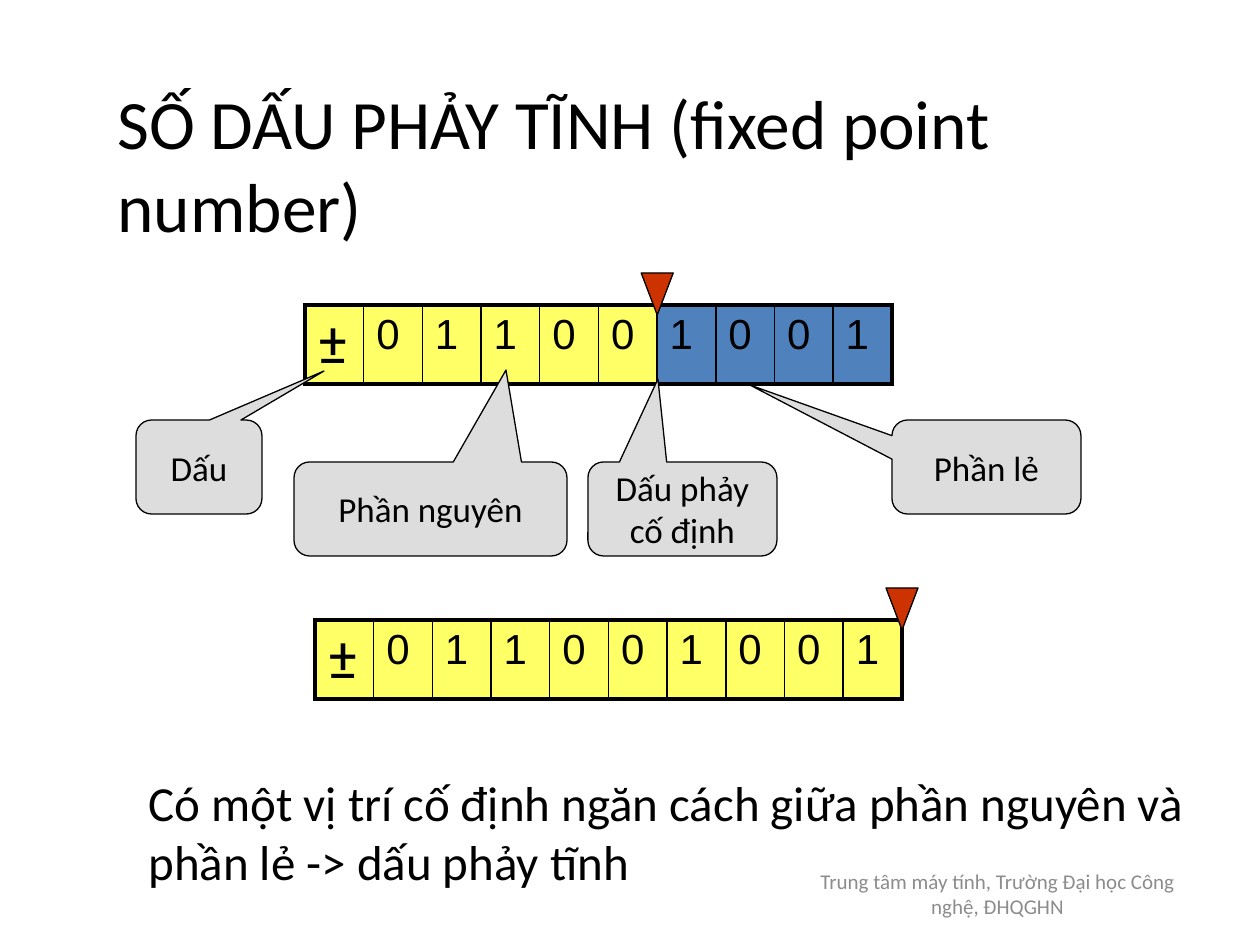
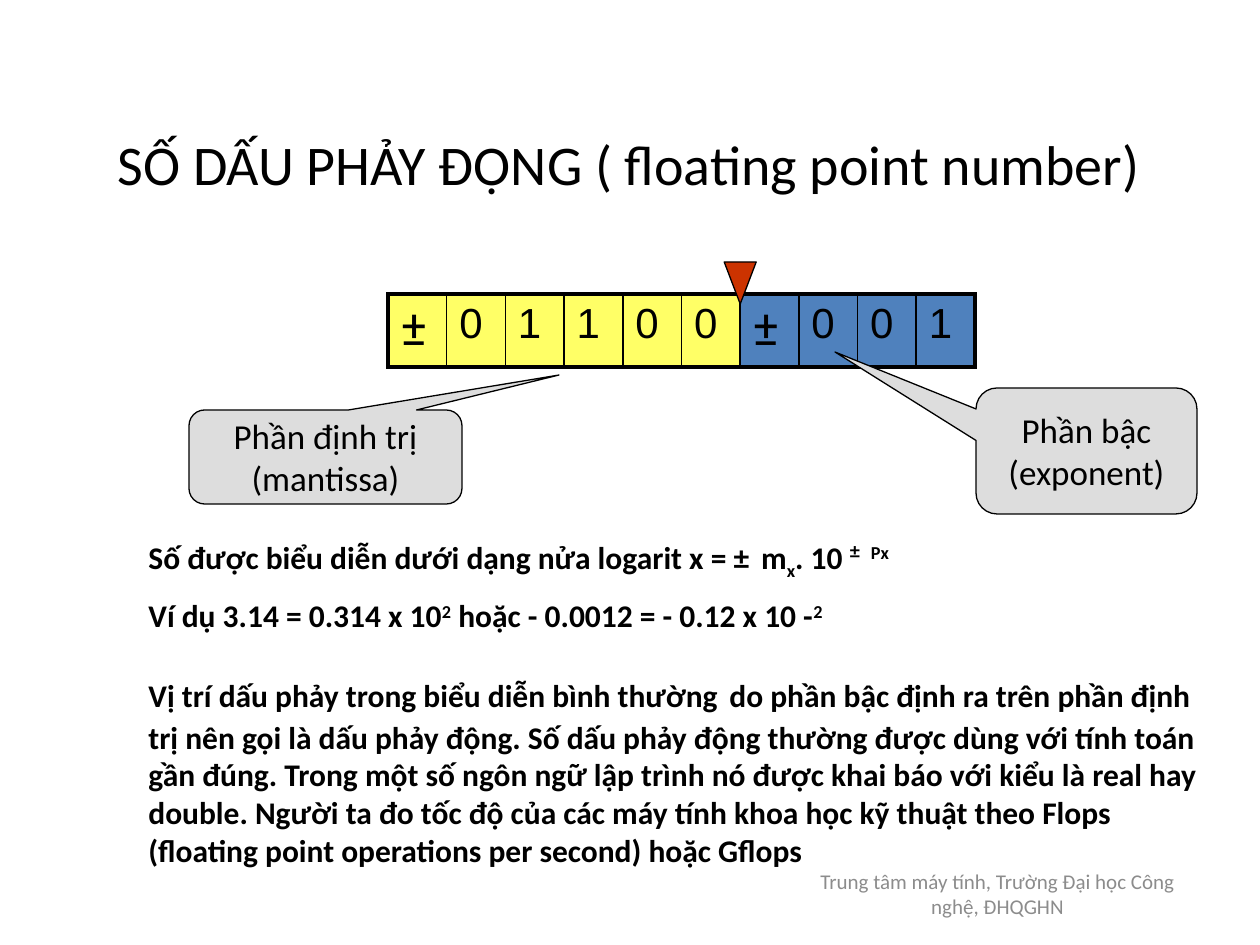
import pptx
import pptx.util
import pptx.dml.color
import pptx.enum.shapes
import pptx.enum.text
import pptx.oxml
import pptx.oxml.ns

RGB = pptx.dml.color.RGBColor
SHAPE = pptx.enum.shapes.MSO_SHAPE
ALIGN = pptx.enum.text.PP_ALIGN
ANCHOR = pptx.enum.text.MSO_ANCHOR
BLACK = RGB(0x00, 0x00, 0x00)
YELLOW = RGB(0xFF, 0xFF, 0x66)
BLUE = RGB(0x4F, 0x81, 0xBD)
RED = RGB(0xCC, 0x33, 0x00)
GRAY = RGB(0xDD, 0xDD, 0xDD)
FOOTER_GRAY = RGB(0x8C, 0x8C, 0x8C)

PX = 914400 / 126
REGISTER_WIDTH = 587
MARKER_WIDTH, MARKER_HEIGHT, MARKER_RISE = 32, 42, 32
TITLE_PLACE = (105, 105, 1092, 116)
FOOTER_PLACE = (798, 861, 399, 65)
FOOTER = "Trung tâm máy tính, Trường Đại học Công nghệ, ĐHQGHN"

PLAIN = {"name": "Calibri", "size": 28, "bold": False, "color": BLACK}
LABEL = {**PLAIN, "size": 20}
NOTE = {**PLAIN, "size": 18, "bold": True}
WIDE = {**NOTE, "size": 28}
SIGN = {**NOTE, "size": 20}
DIGIT = {"name": "Arial", "size": 24, "color": BLACK}
SMALL = {**PLAIN, "size": 12, "color": FOOTER_GRAY}
SUPER, SUB = 30000, -25000

SLIDES = [
    {
        "title": ("SỐ DẤU PHẢY TĨNH (fixed point number)", 39.6),
        "registers": [
            {"bits": "±011001001", "place": (305, 305), "height": 79, "point": 6, "sign": 32},
            {"bits": "±011001001", "place": (315, 620), "height": 79, "point": 10, "sign": 32},
        ],
        "callouts": [
            ("Dấu", (136, 420, 126, 94), (324, 371)),
            ("Phần lẻ", (892, 420, 189, 94), (750, 385)),
            ("Dấu phảy cố định", (588, 462, 189, 94), (658, 379)),
            ("Phần nguyên", (294, 462, 273, 94), (506, 370)),
        ],
        "body_place": (136, 766, 1061, 130),
        "body": [
            (0, [("Có một vị trí cố định ngăn cách giữa phần nguyên và phần lẻ -> dấu phảy tĩnh", PLAIN, 0)]),
        ],
    },
    {
        "title": ("SỐ DẤU PHẢY ĐỘNG ( floating point number)", 32),
        "registers": [
            {"bits": "±01100±001", "place": (388, 294), "height": 73, "point": 6, "sign": 28},
        ],
        "callouts": [
            ("Phần định trị (mantissa)", (189, 410, 273, 94), (559, 375)),
            ("Phần bậc (exponent)", (976, 388, 221, 126), (835, 352)),
        ],
        "body_place": (136, 514, 1092, 406),
        "body": [
            (0, [
                ("Số được biểu diễn dưới dạng nửa logarit x = ±", NOTE, 0),
                (" ", WIDE, 0),
                ("m", NOTE, 0),
                ("x", NOTE, SUB),
                (". 10 ", NOTE, 0),
                ("±", SIGN, SUPER),
                (" ", WIDE, 0),
                ("Px", NOTE, SUPER),
            ]),
            (9, [
                ("Ví dụ 3.14 = 0.314 x 10", NOTE, 0),
                ("2", NOTE, SUPER),
                (" hoặc - 0.0012 = - 0.12 x 10 -", NOTE, 0),
                ("2", NOTE, SUPER),
            ]),
            (14, [
                ("Vị trí dấu phảy trong biểu diễn bình thường", NOTE, 0),
                (" ", WIDE, 0),
                ("do phần bậc định ra trên phần định trị nên gọi là dấu phảy động. "
                 "Số dấu phảy động thường được dùng với tính toán gần đúng. "
                 "Trong một số ngôn ngữ lập trình nó được khai báo với kiểu là real hay double. "
                 "Người ta đo tốc độ của các máy tính khoa học kỹ thuật theo Flops "
                 "(floating point operations per second) hoặc Gflops", NOTE, 0),
            ]),
        ],
    },
]


def emu(*lengths):
    return [round(length * PX) for length in lengths]


def format_font(font, style):
    for key, value in style.items():
        if key == "color":
            font.color.rgb = value
        elif key == "size":
            font.size = pptx.util.Pt(value)
        else:
            setattr(font, key, value)


def write(frame, paragraphs, align=ALIGN.LEFT, anchor=ANCHOR.TOP):
    settings = {"word_wrap": True, "vertical_anchor": anchor,
                "auto_size": pptx.enum.text.MSO_AUTO_SIZE.NONE}
    for key, value in settings.items():
        setattr(frame, key, value)
    for index, (space, spans) in enumerate(paragraphs):
        para = frame.add_paragraph() if index else frame.paragraphs[0]
        para.alignment = align
        if space:
            para.space_before = pptx.util.Pt(space)
        for text, style, baseline in spans:
            span = para.add_run()
            span.text = text
            format_font(span.font, style)
            if baseline:
                span.font.bold = style["bold"]
                span._r.get_or_add_rPr().set("baseline", str(baseline))


def add_text(page, place, paragraphs, **layout):
    box = page.shapes.add_textbox(*emu(*place))
    write(box.text_frame, paragraphs, **layout)


def add_figure(page, kind, place, fill):
    figure = page.shapes.add_shape(kind, *emu(*place))
    figure.shadow.inherit = False
    figure.fill.solid()
    figure.fill.fore_color.rgb = fill
    figure.line.color.rgb = BLACK
    figure.line.width = pptx.util.Pt(0.75)
    return figure


def add_callout(page, text, place, tip):
    left, top, width, height = place
    callout = add_figure(page, SHAPE.ROUNDED_RECTANGULAR_CALLOUT, place, GRAY)
    callout.adjustments[0] = (tip[0] - left) / width - 0.5
    callout.adjustments[1] = (tip[1] - top) / height - 0.5
    write(callout.text_frame, [(0, [(text, LABEL, 0)])], ALIGN.CENTER, ANCHOR.MIDDLE)


def add_border(cell, side, points):
    cell._tc.get_or_add_tcPr().append(pptx.oxml.parse_xml(
        f'<a:ln{side} {pptx.oxml.ns.nsdecls("a")} w="{pptx.util.Pt(points)}">'
        f'<a:solidFill><a:srgbClr val="{BLACK}"/></a:solidFill></a:ln{side}>'))


def add_register(page, bits, place, height, point, sign):
    left, top = place
    count = len(bits)
    frame = page.shapes.add_table(1, count, *emu(left, top, REGISTER_WIDTH, height))
    table = frame.table
    table.first_row = table.horz_banding = False
    for index, bit in enumerate(bits):
        table.columns[index].width = emu(REGISTER_WIDTH / count)[0]
        cell = table.cell(0, index)
        para = cell.text_frame.paragraphs[0]
        span = para.add_run()
        span.text = bit
        format_font(span.font, {**DIGIT, "name": "Roboto", "size": sign} if bit == "±" else DIGIT)
        add_border(cell, "L", 1 if index else 2.25)
        add_border(cell, "R", 1 if index < count - 1 else 2.25)
        add_border(cell, "T", 2.25)
        add_border(cell, "B", 2.25)
        cell.fill.solid()
        cell.fill.fore_color.rgb = YELLOW if index < point else BLUE
    center = left + REGISTER_WIDTH * point / count
    marker = add_figure(page, SHAPE.ISOSCELES_TRIANGLE,
                        (center - MARKER_WIDTH / 2, top - MARKER_RISE, MARKER_WIDTH, MARKER_HEIGHT), RED)
    marker.rotation = 180


def add_page(deck, content):
    page = deck.slides.add_slide(deck.slide_layouts[5])
    title = page.shapes.title
    title.left, title.top, title.width, title.height = emu(*TITLE_PLACE)
    text, size = content["title"]
    write(title.text_frame, [(0, [(text, {**PLAIN, "size": size}, 0)])], anchor=ANCHOR.MIDDLE)
    for register in content["registers"]:
        add_register(page, **register)
    for callout in content["callouts"]:
        add_callout(page, *callout)
    add_text(page, content["body_place"], content["body"])
    add_text(page, FOOTER_PLACE, [(0, [(FOOTER, SMALL, 0)])], align=ALIGN.CENTER, anchor=ANCHOR.MIDDLE)


def main():
    deck = pptx.Presentation()
    deck.slide_width, deck.slide_height = emu(1260, 945)
    for content in SLIDES:
        add_page(deck, content)
    deck.save("out.pptx")


if __name__ == "__main__":
    main()
